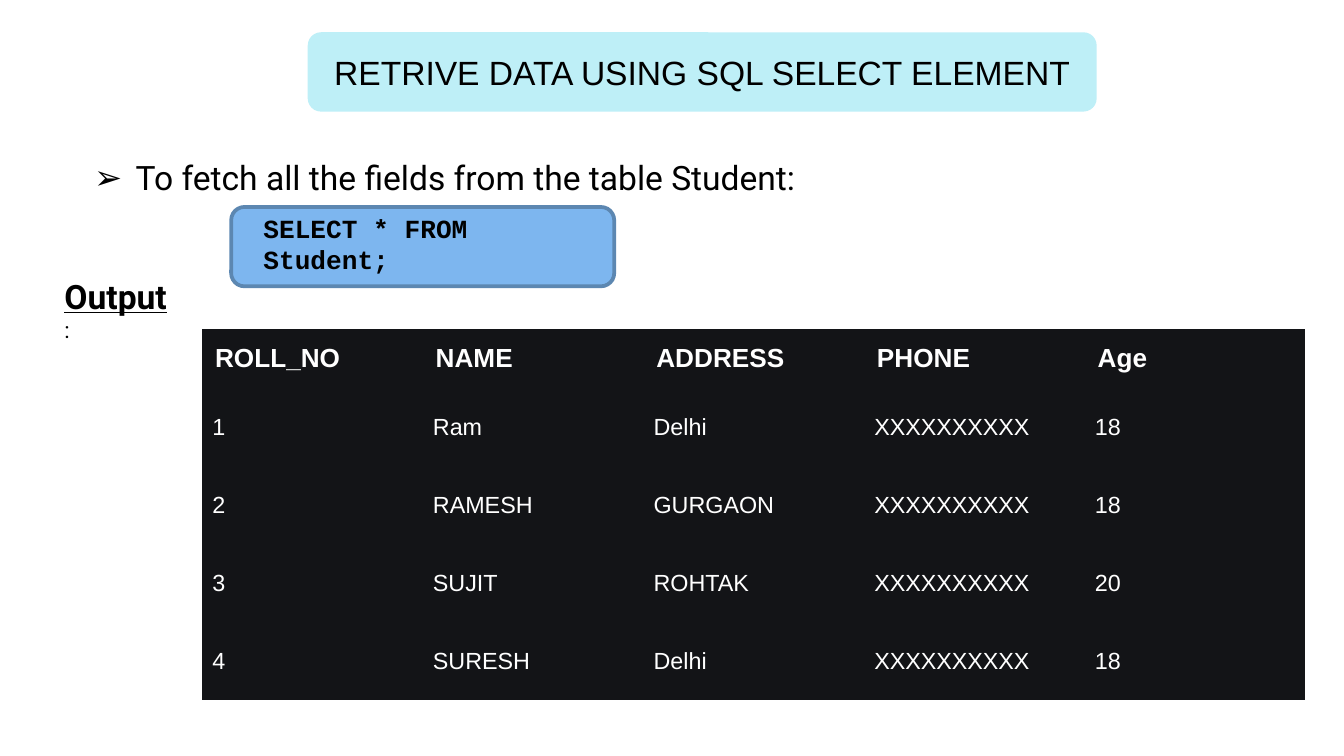
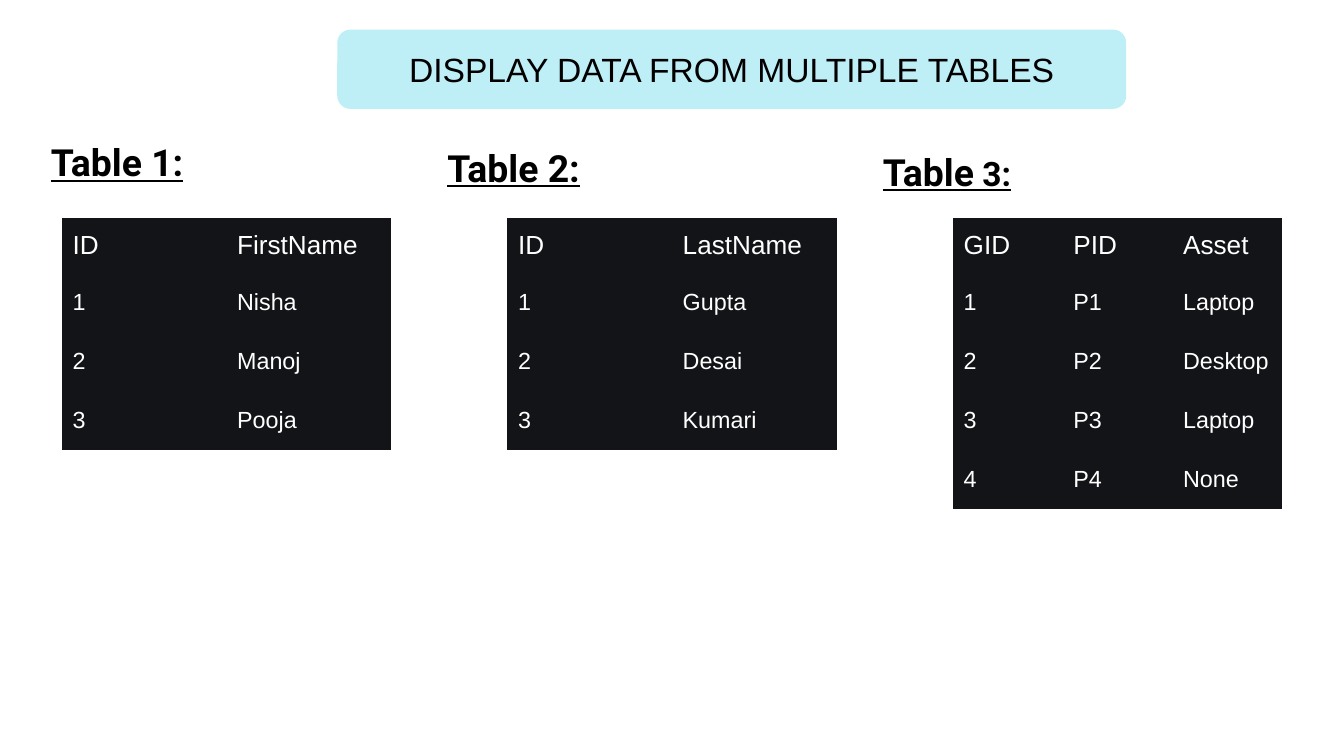
from lxml import etree
from pptx import Presentation
from pptx.dml.color import RGBColor
from pptx.enum.shapes import MSO_SHAPE
from pptx.enum.text import MSO_ANCHOR, MSO_AUTO_SIZE, PP_ALIGN
from pptx.oxml.ns import qn
from pptx.util import Inches, Pt

ROUNDED = MSO_SHAPE.ROUNDED_RECTANGLE
MIDDLE, TOP = MSO_ANCHOR.MIDDLE, MSO_ANCHOR.TOP
CENTER, LEFT = PP_ALIGN.CENTER, PP_ALIGN.LEFT
FIXED = MSO_AUTO_SIZE.NONE

BLACK, WHITE, DARK = "000000", "FFFFFF", "131417"
BAND, CODE_FILL, CODE_LINE = "04C3E2", "7DB6EF", "5C87B1"
BAND_OPACITY = 26000
PLAIN_TABLE = "{2D5ABB26-0587-4C30-8999-92F81FD0307C}"
BAND_SIZE = (5.87, 0.59)
INSETS = (0.1, 0.05, 0.1, 0.05)
BODY_INSETS = (0.08, 0.12, 0.08, 0.12)

# Content
SELECT_TITLE = "RETRIVE DATA USING SQL SELECT ELEMENT"
FETCH_LINE = "To fetch all the fields from the table Student:"
QUERY = "SELECT * FROM Student;"
STUDENTS = [
    ("ROLL_NO", "NAME", "ADDRESS", "PHONE", "Age"),
    ("1", "Ram", "Delhi", "XXXXXXXXXX", "18"),
    ("2", "RAMESH", "GURGAON", "XXXXXXXXXX", "18"),
    ("3", "SUJIT", "ROHTAK", "XXXXXXXXXX", "20"),
    ("4", "SURESH", "Delhi", "XXXXXXXXXX", "18"),
]

JOIN_TITLE = "DISPLAY DATA FROM MULTIPLE TABLES"
# Heading runs (text, size), heading place, table rows
SOURCE_TABLES = [
    ([("Table 1:", 20)], (0.28, 0.99, 5, 0.44),
     [("ID", "FirstName"), ("1", "Nisha"), ("2", "Manoj"), ("3", "Pooja")]),
    ([("Table 2:", 20)], (3.23, 1.03, 1.2, 0.44),
     [("ID", "LastName"), ("1", "Gupta"), ("2", "Desai"), ("3", "Kumari")]),
    ([("Table", 20), (" 3:", 18)], (6.47, 1.06, 3.5, 0.44),
     [("GID", "PID", "Asset"), ("1", "P1", "Laptop"), ("2", "P2", "Desktop"),
      ("3", "P3", "Laptop"), ("4", "P4", "None")]),
]
FIRST_LEFT, LAST_LEFT, TABLES_TOP, TABLE_WIDTH = 0.46, 7.09, 1.62, 2.45
TABLE_STEP = (LAST_LEFT - FIRST_LEFT) / (len(SOURCE_TABLES) - 1)


def color(value):
    return RGBColor.from_string(value)


def style(span, size, font="Arial", ink=BLACK, bold=False, underline=False):
    span.font.size, span.font.name = Pt(size), font
    span.font.bold, span.font.underline = bold, underline
    span.font.color.rgb = color(ink)


def place(shape, left, top, width, height):
    shape.left, shape.top = Inches(left), Inches(top)
    shape.width, shape.height = Inches(width), Inches(height)


def set_margins(target, insets):
    (target.margin_left, target.margin_top,
     target.margin_right, target.margin_bottom) = map(Inches, insets)


def set_frame(frame, anchor=TOP, insets=INSETS):
    frame.word_wrap = True
    frame.auto_size = FIXED
    frame.vertical_anchor = anchor
    set_margins(frame, insets)


def add_text(page, area, spans, anchor=TOP, insets=INSETS):
    """Write spans, each a text and its style settings, in one paragraph."""
    box = page.shapes.add_textbox(*map(Inches, area))
    set_frame(box.text_frame, anchor, insets)
    for text, settings in spans:
        span = box.text_frame.paragraphs[0].add_run()
        span.text = text
        style(span, **settings)


def add_rounded(page, area, fill):
    shape = page.shapes.add_shape(ROUNDED, *map(Inches, area))
    shape.shadow.inherit = False
    shape.fill.solid()
    shape.fill.fore_color.rgb = color(fill)
    shape.line.fill.background()
    return shape


def set_title(page, text, left, top):
    """Set the title on a translucent rounded band."""
    area = (left, top, *BAND_SIZE)
    band = add_rounded(page, area, BAND)
    tint = next(band.element.spPr.iter(qn("a:srgbClr")))
    etree.SubElement(tint, qn("a:alpha"), val=str(BAND_OPACITY))
    title = page.shapes.title
    band.element.addnext(title.element)
    place(title, *area)
    title.text_frame.text = text
    set_frame(title.text_frame, MIDDLE)
    para = title.text_frame.paragraphs[0]
    para.alignment = CENTER
    style(para.runs[0], 18)


def set_bullet_line(page, text, area):
    body = page.placeholders[1]
    place(body, *area)
    body.text_frame.text = text
    set_frame(body.text_frame)
    para = body.text_frame.paragraphs[0]
    para.alignment = LEFT
    para.space_before = Pt(0)
    props = para._p.get_or_add_pPr()
    props.set("marL", str(Inches(0.31)))
    props.set("indent", str(Inches(-0.31)))
    tint = etree.SubElement(props, qn("a:buClr"))
    etree.SubElement(tint, qn("a:srgbClr"), val=BLACK)
    etree.SubElement(props, qn("a:buFont"), typeface="Arial")
    etree.SubElement(props, qn("a:buChar"), char="➢")
    style(para.runs[0], 18, "Roboto")


def add_dark_table(page, rows, left, top, width, heights, head_insets, head_bold=False):
    """Heights are those of the header row and of each body row."""
    head_height, body_height = heights
    total = head_height + body_height * (len(rows) - 1)
    frame = page.shapes.add_table(len(rows), len(rows[0]), Inches(left), Inches(top),
                                  Inches(width), Inches(total))
    table = frame.table
    table.first_row = table.horz_banding = False
    next(frame.element.iter(qn("a:tableStyleId"))).text = PLAIN_TABLE
    for r, values in enumerate(rows):
        is_head = r == 0
        table.rows[r].height = Inches(head_height if is_head else body_height)
        for c, value in enumerate(values):
            cell = table.cell(r, c)
            cell.text = value
            cell.fill.solid()
            cell.fill.fore_color.rgb = color(DARK)
            cell.vertical_anchor = MIDDLE
            set_margins(cell, head_insets if is_head else BODY_INSETS)
            style(cell.text_frame.paragraphs[0].runs[0], 14 if is_head else 12.5,
                  ink=WHITE, bold=is_head and head_bold)


def build_select_page(deck):
    page = deck.slides.add_slide(deck.slide_layouts[1])
    set_title(page, SELECT_TITLE, 2.29, 0.24)
    set_bullet_line(page, FETCH_LINE, (0.6, 1.12, 6.44, 0.4))

    # Query panel
    panel = add_rounded(page, (1.72, 1.54, 2.85, 0.59), CODE_FILL)
    panel.line.color.rgb = color(CODE_LINE)
    panel.line.width = Pt(2)
    add_text(page, (1.96, 1.69, 2.41, 0.29),
             [(QUERY, dict(size=14, font="Courier New", bold=True))],
             MIDDLE, (0, 0, 0, 0.05))

    # Query result
    add_dark_table(page, STUDENTS, 1.5, 2.45, 8.21, (0.44, 0.58), INSETS, True)
    add_text(page, (0.48, 2.15, 0.8, 0.3),
             [("Output", dict(size=18, font="Roboto", bold=True, underline=True)),
              (":", dict(size=12, font="Roboto"))],
             MIDDLE, (0, 0, 0, 0))


def build_tables_page(deck):
    page = deck.slides.add_slide(deck.slide_layouts[5])
    set_title(page, JOIN_TITLE, 2.51, 0.22)
    for i, (heading, area, rows) in enumerate(SOURCE_TABLES):
        add_text(page, area, [
            (text, dict(size=size, font="Roboto", bold=True, underline=True))
            for text, size in heading])
        add_dark_table(page, rows, FIRST_LEFT + i * TABLE_STEP, TABLES_TOP,
                       TABLE_WIDTH, (0.41, 0.44), (0.08,) * 4)


def main():
    deck = Presentation()
    deck.slide_width = Inches(10)
    deck.slide_height = deck.slide_width * 9 // 16
    build_select_page(deck)
    build_tables_page(deck)
    deck.save("out.pptx")


if __name__ == "__main__":
    main()
